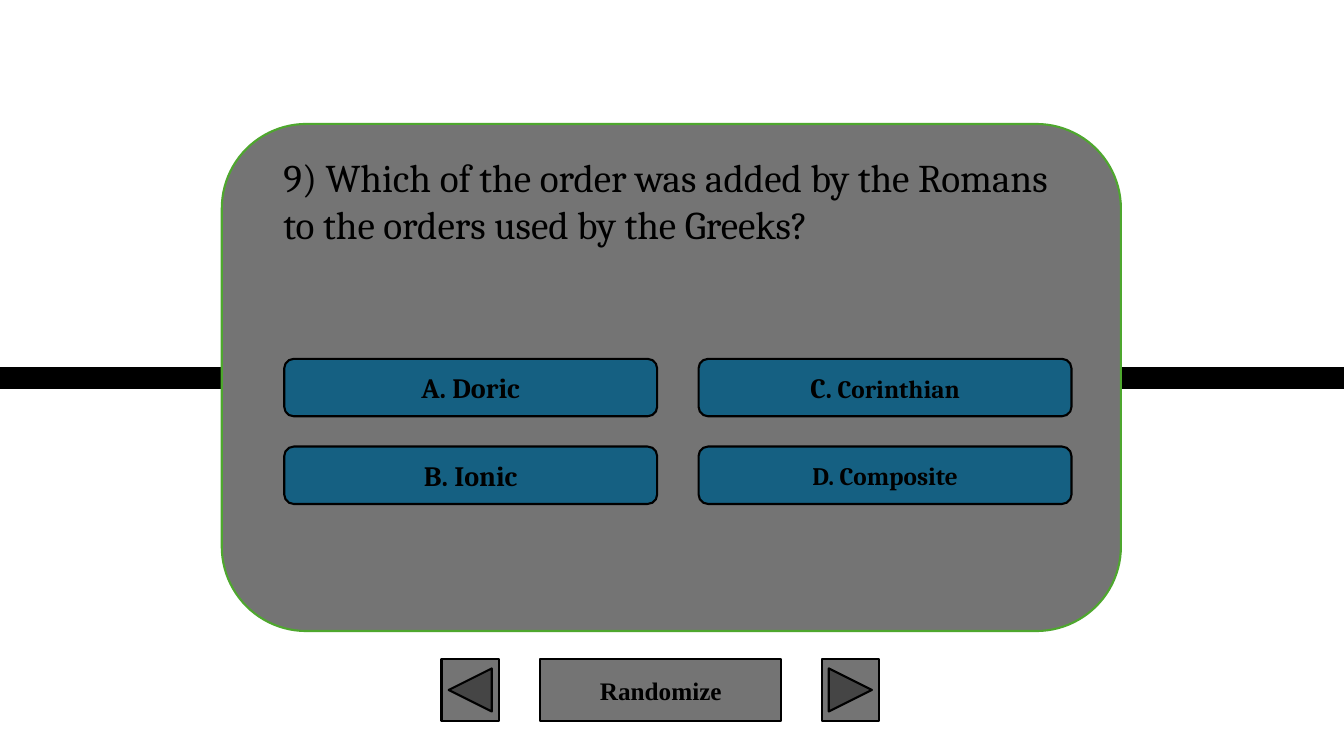
from dataclasses import dataclass

from lxml.etree import SubElement
from pptx import Presentation
from pptx.dml.color import RGBColor
from pptx.enum.shapes import MSO_CONNECTOR, MSO_SHAPE as Preset
from pptx.enum.text import MSO_ANCHOR as Anchor, MSO_AUTO_SIZE as AutoSize, PP_ALIGN as Align
from pptx.oxml.ns import qn
from pptx.shapes.autoshape import Shape
from pptx.slide import Slide
from pptx.text.text import Font
from pptx.util import Inches, Pt

WIDTH, HEIGHT = Inches(13.33), Inches(7.5)
BLACK, GRAY, GREEN, BLUE = "000000", "747474", "4EA72E", "156082"
SERIF, BUTTON_FONT = "Cambria", "Times New Roman"
QUESTION = "9) Which of the order was added by the Romans to the orders used by the Greeks?"


@dataclass(frozen=True)
class Box:
    """A rectangle in percent of the slide's width and height."""
    left: float
    top: float
    width: float
    height: float

    def place(self, shape: Shape) -> None:
        shape.left, shape.top, shape.width, shape.height = self.lengths()

    def lengths(self) -> tuple[int, int, int, int]:
        return (across(self.left), down(self.top), across(self.width), down(self.height))


@dataclass(frozen=True)
class Answer:
    column: int
    row: int
    runs: tuple[tuple[str, int], ...]


@dataclass(frozen=True)
class Button:
    preset: Preset
    left: float
    width: float
    label: str = ""


ANSWERS = (
    Answer(0, 0, (("A. Doric", 20),)),
    Answer(0, 1, (("B. Ionic", 20),)),
    Answer(1, 0, (("C.", 20), (" Corinthian", 18))),
    Answer(1, 1, (("D. Composite", 18),)),
)
BUTTONS = (
    Button(Preset.ACTION_BUTTON_CUSTOM, 40.2, 17.93, "Randomize"),
    Button(Preset.ACTION_BUTTON_BACK_OR_PREVIOUS, 32.85, 4.28),
    Button(Preset.ACTION_BUTTON_FORWARD_OR_NEXT, 61.13, 4.28),
)


def across(percent: float) -> int:
    return round(WIDTH * percent / 100)


def down(percent: float) -> int:
    return round(HEIGHT * percent / 100)


def color(value: str) -> RGBColor:
    return RGBColor.from_string(value)


def set_font(font: Font, name: str, bold: bool) -> None:
    font.name, font.bold = name, bold
    font.color.rgb = color(BLACK)


def add_panel(slide: Slide, preset: Preset, box: Box, fill: str, outline: str) -> Shape:
    shape = slide.shapes.add_shape(preset, *box.lengths())
    shape.shadow.inherit = False
    shape.fill.solid()
    shape.fill.fore_color.rgb = color(fill)
    shape.line.color.rgb = color(outline)
    shape.line.width = Pt(1.5)
    return shape


def add_label(shape: Shape, runs: tuple[tuple[str, int], ...], font_name: str) -> None:
    shape.text_frame.vertical_anchor = Anchor.MIDDLE
    paragraph = shape.text_frame.paragraphs[0]
    paragraph.alignment = Align.CENTER
    set_font(paragraph.font, font_name, True)
    for text, size in runs:
        run = paragraph.add_run()
        run.text = text
        set_font(run.font, font_name, True)
        run.font.size = Pt(size)


def add_band(slide: Slide) -> None:
    band = slide.shapes.add_connector(MSO_CONNECTOR.STRAIGHT, 0, down(50), WIDTH, down(50))
    band.line.color.rgb = color(BLACK)
    band.line.width = Pt(16)
    SubElement(band.element.spPr, qn("a:effectLst"))


def add_button(slide: Slide, button: Button) -> None:
    box = Box(button.left, 87.2, button.width, 8.13)
    shape = add_panel(slide, button.preset, box, GRAY, BLACK)
    if button.label:
        add_label(shape, ((button.label, 18),), BUTTON_FONT)


def add_question(slide: Slide, card: Shape) -> None:
    """Fill the title and bring it in front of the card."""
    title = slide.shapes.title
    Box(20.33, 19.6, 59.4, 13.87).place(title)
    card.element.addnext(title.element)
    frame = title.text_frame
    frame.text = QUESTION
    frame.word_wrap = True
    frame.auto_size = AutoSize.SHAPE_TO_FIT_TEXT
    frame.vertical_anchor = Anchor.TOP
    paragraph = frame.paragraphs[0]
    paragraph.alignment = Align.LEFT
    set_font(paragraph.font, SERIF, False)
    paragraph.font.size = Pt(28)


def add_answer(slide: Slide, answer: Answer) -> None:
    box = Box(21.15 + 30.83 * answer.column, 47.47 + 11.6 * answer.row, 27.75, 7.6)
    shape = add_panel(slide, Preset.ROUNDED_RECTANGLE, box, BLUE, BLACK)
    add_label(shape, answer.runs, SERIF)


def main() -> None:
    presentation = Presentation()
    presentation.slide_width, presentation.slide_height = WIDTH, HEIGHT
    slide = presentation.slides.add_slide(presentation.slide_layouts.get_by_name("Title Only"))
    add_band(slide)
    for button in BUTTONS:
        add_button(slide, button)
    card = add_panel(slide, Preset.ROUNDED_RECTANGLE, Box(16.5, 16.4, 66.9, 67.07), GRAY, GREEN)
    add_question(slide, card)
    for answer in ANSWERS:
        add_answer(slide, answer)
    presentation.save("out.pptx")


if __name__ == "__main__":
    main()
